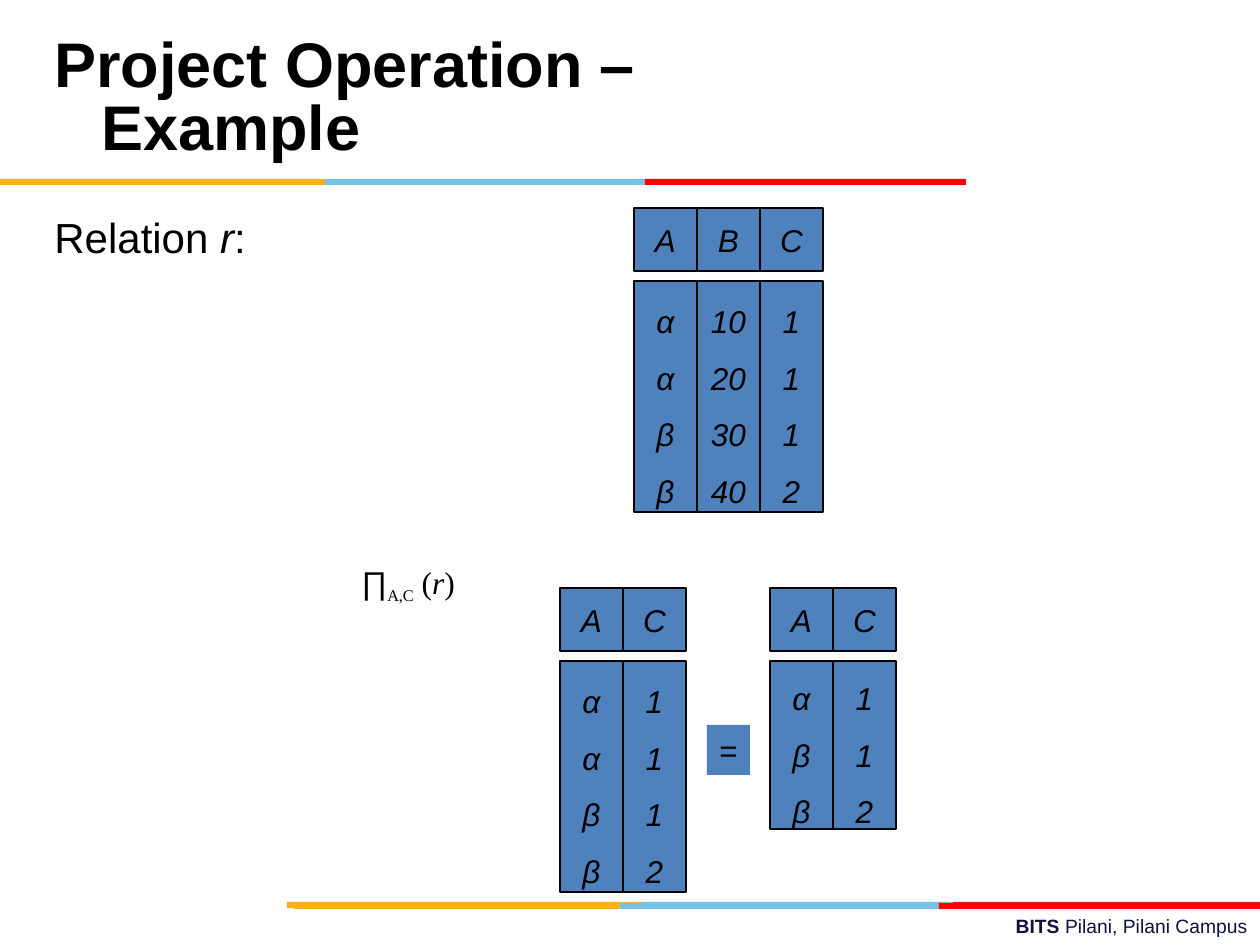
from dataclasses import dataclass

from pptx import Presentation
from pptx.dml.color import RGBColor
from pptx.enum.shapes import MSO_SHAPE
from pptx.enum.text import MSO_ANCHOR, MSO_AUTO_SIZE, PP_ALIGN
from pptx.util import Emu, Pt

RECT = MSO_SHAPE.RECTANGLE
TOP, MIDDLE = MSO_ANCHOR.TOP, MSO_ANCHOR.MIDDLE
LEFT, CENTER, RIGHT = PP_ALIGN.LEFT, PP_ALIGN.CENTER, PP_ALIGN.RIGHT
GROW = MSO_AUTO_SIZE.SHAPE_TO_FIT_TEXT

PX_PER_INCH = 126
WIDTH, HEIGHT = 1260, 945
CELL = 63
BODY_OFFSET = 73
BAR_HEIGHT = 6
BLACK, NAVY, BLUE = "000000", "101141", "4F81BD"
GOLD, SKY, RED, CRIMSON = "FCB017", "76C2E5", "FF0000", "E31C24"


@dataclass
class Bar:
    x: int
    y: int
    w: int
    color: str


@dataclass
class Relation:
    x: int
    y: int
    body_h: int
    columns: dict[str, str]


@dataclass
class Label:
    box: tuple[int, int, int, int]
    runs: list[tuple[str, dict]]
    size: int
    color: str = BLACK
    align: PP_ALIGN = LEFT
    frame: dict | None = None
    line_spacing: Pt | None = None
    hanging: int = 0


BARS = [
    Bar(638, 902, 321, SKY), Bar(953, 902, 307, CRIMSON), Bar(287, 902, 355, GOLD),
    Bar(620, 903, 321, SKY), Bar(294, 903, 325, GOLD), Bar(939, 903, 321, RED),
    Bar(325, 179, 321, SKY), Bar(0, 179, 325, GOLD), Bar(645, 179, 321, RED),
]

RELATIONS = [
    Relation(634, 208, 231, {"A": "α α β β", "B": "10 20 30 40", "C": "1 1 1 2"}),
    Relation(560, 588, 231, {"A": "α α β β", "C": "1 1 1 2"}),
    Relation(770, 588, 168, {"A": "α β β", "C": "1 1 2"}),
]

TIMES = {"name": "Times New Roman"}
LABELS = [
    Label((451, 908, 809, 37),
          [("BITS ", {"bold": True}), ("Pilani, Pilani Campus", {})],
          11, NAVY, RIGHT, {"auto_size": GROW}),
    Label((42, 205, 1134, 624),
          [("Relation", {}), (" r", {"italic": True}), (":", {})],
          24, hanging=48),
    Label((42, 21, 872, 158),
          [("Project Operation – Example", {"bold": True})],
          36, frame={"vertical_anchor": MIDDLE}, line_spacing=Pt(36), hanging=47),
    Label((349, 557, 120, 54),
          [("∏", {}), ("A,C", {**TIMES, "size": Pt(16), "subscript": True}),
           (" (", TIMES), ("r", {**TIMES, "italic": True}), (")", TIMES)],
          18, frame={"word_wrap": False, "auto_size": GROW}),
]


def px(n: int) -> Emu:
    return Emu(round(n * 914400 / PX_PER_INCH))


def rgb(color: str) -> RGBColor:
    return RGBColor.from_string(color)


def set_attrs(target, values: dict) -> None:
    for name, value in values.items():
        setattr(target, name, value)


def add_run(p, text: str, size: int, color: str, **font) -> None:
    r = p.add_run()
    r.text = text
    set_attrs(r.font, {"name": "Arial", "size": Pt(size), **font})
    if font.get("subscript"):
        r.font._element.set("baseline", "-25000")
    r.font.color.rgb = rgb(color)


def add_rect(shapes, x: int, y: int, w: int, h: int, color: str, outlined: bool = False):
    s = shapes.add_shape(RECT, px(x), px(y), px(w), px(h))
    s.shadow.inherit = False
    s.fill.solid()
    s.fill.fore_color.rgb = rgb(color)
    if outlined:
        s.line.color.rgb = rgb(BLACK)
        s.line.width = Pt(0.75)
    else:
        s.line.fill.background()
    return s


def fill_cell(s, lines: list[str], spacing: float | None = None, italic: bool = True) -> None:
    tf = s.text_frame
    set_attrs(tf, {"word_wrap": False, "vertical_anchor": MIDDLE})
    for i, line in enumerate(lines):
        p = tf.paragraphs[0] if i == 0 else tf.add_paragraph()
        set_attrs(p, {"alignment": CENTER, "line_spacing": spacing})
        add_run(p, line, 18, BLACK, italic=italic)


def add_relation(shapes, rel: Relation) -> None:
    """Draw a header row and, below a gap, one tall cell per column."""
    for i, (name, values) in enumerate(rel.columns.items()):
        x = rel.x + i * CELL
        fill_cell(add_rect(shapes, x, rel.y, CELL, CELL, BLUE, True), [name])
        body = add_rect(shapes, x, rel.y + BODY_OFFSET, CELL, rel.body_h, BLUE, True)
        fill_cell(body, values.split(), 1.5)


def add_label(shapes, label: Label) -> None:
    tf = shapes.add_textbox(*map(px, label.box)).text_frame
    set_attrs(tf, {"word_wrap": True, "vertical_anchor": TOP, **(label.frame or {})})
    p = tf.paragraphs[0]
    set_attrs(p, {"alignment": label.align, "line_spacing": label.line_spacing})
    if label.hanging:
        pPr = p._p.get_or_add_pPr()
        pPr.set("marL", str(px(label.hanging)))
        pPr.set("indent", str(-px(label.hanging)))
    for text, font in label.runs:
        add_run(p, text, **{"size": label.size, "color": label.color}) if not font else \
            add_styled_run(p, text, label, font)


def add_styled_run(p, text: str, label: Label, font: dict) -> None:
    size = font.get("size", Pt(label.size)).pt
    extra = {k: v for k, v in font.items() if k not in ("size", "subscript")}
    add_run(p, text, size, label.color, **extra)
    if font.get("subscript"):
        p.runs[-1].font._element.set("baseline", "-25000")


def main() -> None:
    prs = Presentation()
    prs.slide_width, prs.slide_height = px(WIDTH), px(HEIGHT)
    shapes = prs.slides.add_slide(prs.slide_layouts[6]).shapes
    for bar in BARS:
        add_rect(shapes, bar.x, bar.y, bar.w, BAR_HEIGHT, bar.color)
    for label in LABELS:
        add_label(shapes, label)
    for rel in RELATIONS:
        add_relation(shapes, rel)
    fill_cell(add_rect(shapes, 707, 725, 43, 50, BLUE), ["="], italic=False)
    prs.save("out.pptx")


if __name__ == "__main__":
    main()
